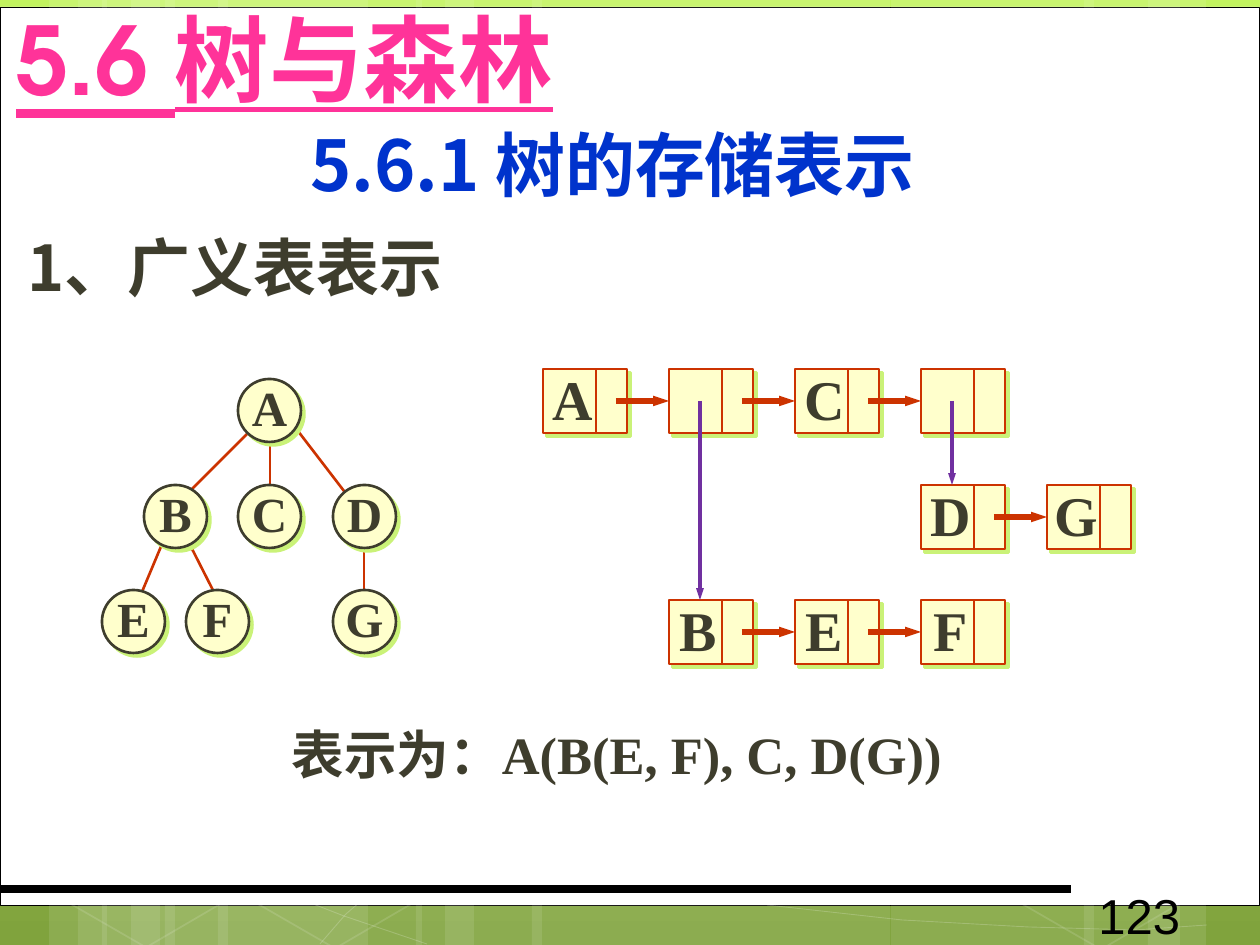
from pptx import Presentation
from pptx.dml.color import RGBColor
from pptx.enum.shapes import MSO_CONNECTOR, MSO_SHAPE
from pptx.enum.text import MSO_ANCHOR, PP_ALIGN
from pptx.oxml import parse_xml
from pptx.oxml.ns import nsdecls, qn
from pptx.util import Emu, Pt
from lxml import etree

RECT, OVAL, HEXAGON = MSO_SHAPE.RECTANGLE, MSO_SHAPE.OVAL, MSO_SHAPE.HEXAGON
STRAIGHT = MSO_CONNECTOR.STRAIGHT
LEFT, CENTER = PP_ALIGN.LEFT, PP_ALIGN.CENTER
TOP, MIDDLE = MSO_ANCHOR.TOP, MSO_ANCHOR.MIDDLE
SERIF, SANS = "Times New Roman", "Noto Sans CJK JP"
INK, RED, PURPLE, CREAM, WHITE = "3E3D2D", "CC3300", "7030A0", "FFFFCC", "FFFFFF"

NODE = 63
NODES = {"A": (238, 379), "B": (144, 485), "C": (238, 485), "D": (333, 485),
         "E": (102, 590), "F": (186, 590), "G": (333, 590)}
EDGES = [(249, 432, 186, 495), (270, 432, 270, 495), (291, 422, 364, 517),
         (165, 537, 134, 611), (186, 537, 218, 600), (364, 537, 364, 611)]

CELL_W, CELL_H, DIVIDER, PITCH = 84, 64, 53, 126
LIST_LEFT, LIST_ROWS = 543, (369, 485, 600)
CHAINS = [(0, 0, ["A", "", "C", ""]), (1, 3, ["D", "G"]), (2, 1, ["B", "E", "F"])]
CHILD_LINKS = [(1, 0, 2), (3, 0, 1)]

BANDS = [(165, 203), (49, 58), (78, 97), (218, 204), (102, 58), (131, 97),
         (891, 203), (1148, 58), (1084, 96), (532, 358), (416, 58), (445, 97)]
CURVES = [[(308, 902), (344, 916), (427, 944)],
          [(767, 905), (902, 920), (1028, 927), (1135, 930), (1207, 925)],
          [(320, 944), (346, 914), (360, 902)]]
HEXAGONS = [(52, 745), (241, 746), (1007, 747)]


def px(n):
    """Turn pixels into EMU."""
    return Emu(round(n * 914400 / 126))


def rgb(code):
    """Turn a hex string into a colour."""
    return RGBColor.from_string(code)


def set_alpha(parent, percent):
    """Make the colour of a solid fill partly transparent."""
    color = parent.find(".//" + qn("a:srgbClr"))
    etree.SubElement(color, qn("a:alpha")).set("val", str(percent * 1000))


def set_line(shape, color, width, alpha=None):
    """Give a shape or connector its stroke."""
    shape.line.color.rgb = rgb(color)
    shape.line.width = Pt(width)
    if alpha:
        set_alpha(shape.line._get_or_add_ln(), alpha)


def add_block(s, kind, x, y, w, h, fill=None, line=None, width=1.5):
    """Add a preset shape without shadow."""
    sp = s.shapes.add_shape(kind, px(x), px(y), px(w), px(h))
    sp.shadow.inherit = False
    if fill:
        sp.fill.solid()
        sp.fill.fore_color.rgb = rgb(fill)
    else:
        sp.fill.background()
    if line:
        set_line(sp, line, width)
    else:
        sp.line.fill.background()
    return sp


def add_shadow(sp):
    """Add the hard green shadow at the lower right."""
    effects = sp._element.spPr.find(qn("a:effectLst"))
    effects.append(parse_xml(
        f'<a:outerShdw {nsdecls("a")} dist="35560" dir="2700000" algn="ctr" rotWithShape="0">'
        '<a:srgbClr val="CAF278"/></a:outerShdw>'))


def add_line(s, x1, y1, x2, y2, color=RED, width=1.5, arrow=False):
    """Add a straight line, with a narrow arrowhead if asked."""
    c = s.shapes.add_connector(STRAIGHT, px(x1), px(y1), px(x2), px(y2))
    set_line(c, color, width)
    if arrow:
        head = etree.SubElement(c.line._get_or_add_ln(), qn("a:tailEnd"))
        head.set("type", "triangle")
        head.set("w", "sm")
    etree.SubElement(c._element.spPr, qn("a:effectLst"))
    return c


def write(tf, text, size, font, color, bold=True, align=CENTER, anchor=MIDDLE):
    """Write one formatted paragraph into a text frame."""
    tf.word_wrap = True
    tf.vertical_anchor = anchor
    p = tf.paragraphs[0]
    p.text = text
    p.alignment = align
    p.font.size = Pt(size)
    p.font.name = font
    p.font.bold = bold
    p.font.color.rgb = rgb(color)
    return p


def set_insets(tf, right=0, bottom=0):
    """Clear the insets but for the right and bottom ones."""
    tf.margin_left = tf.margin_top = 0
    tf.margin_right, tf.margin_bottom = px(right), px(bottom)


def add_text(s, x, y, w, h, *args, **kwargs):
    """Add a text box with one paragraph."""
    box = s.shapes.add_textbox(px(x), px(y), px(w), px(h))
    write(box.text_frame, *args, anchor=TOP, **kwargs)


def add_backdrop(s):
    """Draw the green ground, the white panel and the faint ornaments."""
    fill = s.background.fill
    fill.gradient()
    fill.gradient_angle = 270
    for stop, position, color in zip(fill.gradient_stops, (0, 1), ("C2F35F", "80A33D")):
        stop.position = position
        stop.color.rgb = rgb(color)
    add_block(s, RECT, 0, 7, 1260, 898, WHITE, "000000", 0.5)
    for x, w in BANDS:
        set_alpha(add_block(s, RECT, x, 0, w, 945, WHITE)._element.spPr, 10)
    for start, *points in CURVES:
        builder = s.shapes.build_freeform(*start, scale=914400 / 126)
        builder.add_line_segments(points, close=False)
        curve = builder.convert_to_shape()
        curve.shadow.inherit = False
        curve.fill.background()
        set_line(curve, WHITE, 0.5, 20)
    for x, y in HEXAGONS:
        sp = add_block(s, HEXAGON, x, y, 203, 192)
        sp.adjustments[0] = 0.285
        sp.rotation = 30
        set_line(sp, WHITE, 1, 12)
    add_line(s, 0, 889, 1071, 889, "000000", 4.5)


def add_title(s):
    """Fill the title placeholder and bring it in front of the backdrop."""
    title = s.shapes.title
    title._element.getparent().append(title._element)
    title.left, title.top, title.width, title.height = px(16), px(0), px(848), px(115)
    set_insets(title.text_frame)
    p = write(title.text_frame, "5.6 树与森林", 54, "TeX Gyre Adventor", "FF3399", align=LEFT)
    p.font.underline = True


def add_tree(s):
    """Draw the tree of round nodes."""
    for edge in EDGES:
        add_line(s, *edge)
    for name, (x, y) in NODES.items():
        node = add_block(s, OVAL, x, y, NODE, NODE, CREAM, INK)
        add_shadow(node)
        set_insets(node.text_frame, bottom=7)
        write(node.text_frame, name, 28, SERIF, INK)


def add_cell(s, x, y, name):
    """Draw a list cell: a named part and a pointer part."""
    cell = add_block(s, RECT, x, y, CELL_W, CELL_H, CREAM, RED)
    add_shadow(cell)
    if name:
        set_insets(cell.text_frame, right=CELL_W - DIVIDER - 6, bottom=6)
        write(cell.text_frame, name, 32, SERIF, INK)
    add_line(s, x + DIVIDER, y, x + DIVIDER, y + CELL_H)
    return cell


def add_linked_lists(s):
    """Draw the chains of cells and the links between them."""
    for row, col, names in CHAINS:
        y = LIST_ROWS[row]
        xs = [LIST_LEFT + PITCH * (col + i) for i in range(len(names))]
        cells = [add_cell(s, x, y, name) for x, name in zip(xs, names)]
        mid = y + CELL_H // 2
        for x, target in zip(xs, cells[1:]):
            link = add_line(s, x + 73, mid, x + PITCH, mid, RED, 3, True)
            link.end_connect(target, 1)
    for col, start, end in CHILD_LINKS:
        x = LIST_LEFT + PITCH * col + 31
        add_line(s, x, LIST_ROWS[start] + CELL_H // 2, x, LIST_ROWS[end], PURPLE, 2.25, True)


def main():
    """Build and save the slide."""
    prs = Presentation()
    prs.slide_width, prs.slide_height = px(1260), px(945)
    s = prs.slides.add_slide(prs.slide_layouts[5])
    add_backdrop(s)
    add_title(s)
    add_text(s, 1086, 879, 184, 50, "123", 28, "Arial", "000000", bold=False, align=LEFT)
    add_text(s, 203, 115, 819, 97, "5.6.1 树的存储表示", 40, SANS, "0033CC")
    add_text(s, 66, 716, 1102, 76, "表示为：A(B(E, F), C, D(G))", 30, SERIF, INK)
    add_tree(s)
    add_linked_lists(s)
    add_text(s, 15, 222, 819, 88, "1、广义表表示", 36, SANS, INK, align=LEFT)
    prs.save("out.pptx")


if __name__ == "__main__":
    main()
